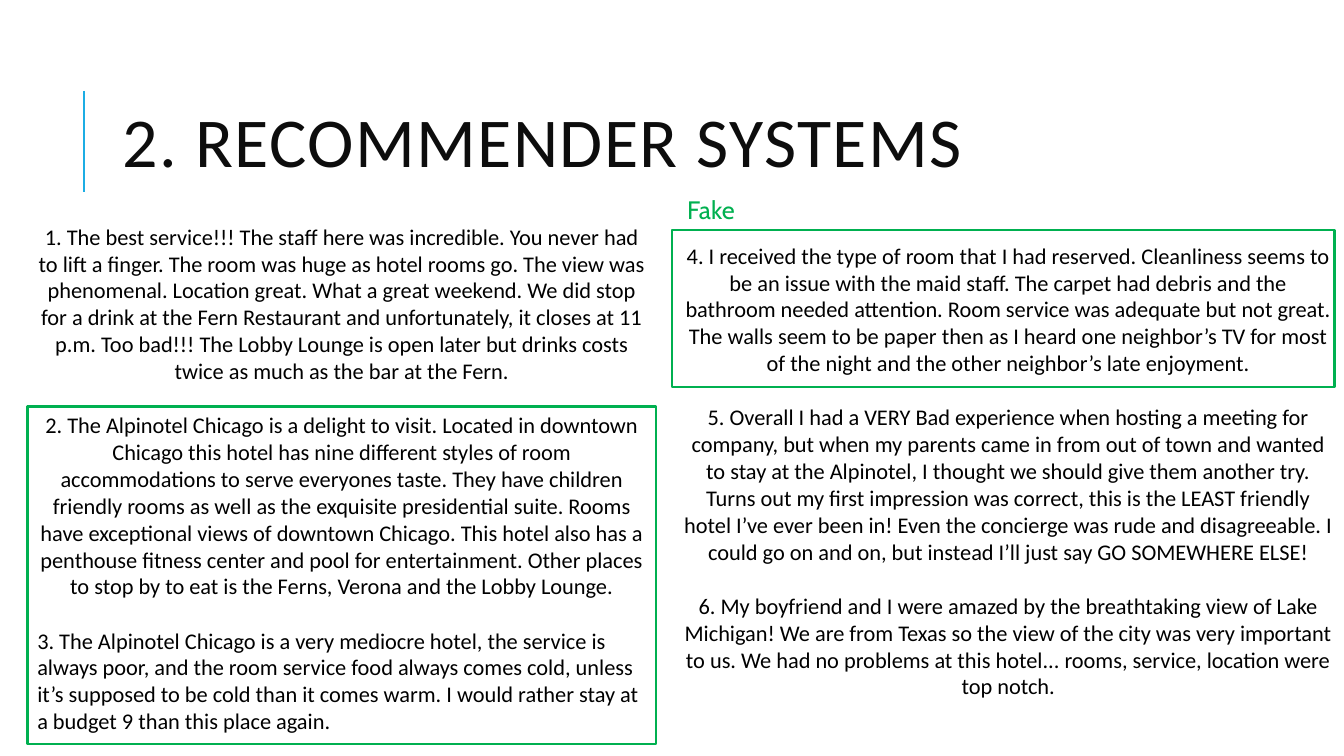
from lxml.etree import SubElement
from pptx import Presentation
from pptx.dml.color import RGBColor
from pptx.enum.shapes import MSO_CONNECTOR, MSO_SHAPE
from pptx.enum.text import MSO_ANCHOR, PP_ALIGN
from pptx.oxml.ns import qn
from pptx.util import Cm, Pt

GREEN = "00B050"
BLUE = "1CADE4"
BLACK = "000000"
TITLE_COLOR = "0D0D0D"
COLUMN_TOPS = (5.49, 5.97)
LEFT_X, LEFT_W = 0.69, 15.85
RIGHT_X, RIGHT_W = 16.94, 16.94

LEFT_REVIEWS = [
    "1. The best service!!! The staff here was incredible. You never had to lift a finger. "
    "The room was huge as hotel rooms go. The view was phenomenal. Location great. What a "
    "great weekend. We did stop for a drink at the Fern Restaurant and unfortunately, it "
    "closes at 11 p.m. Too bad!!! The Lobby Lounge is open later but drinks costs twice as "
    "much as the bar at the Fern.",
    "2. The Alpinotel Chicago is a delight to visit. Located in downtown Chicago this hotel "
    "has nine different styles of room accommodations to serve everyones taste. They have "
    "children friendly rooms as well as the exquisite presidential suite. Rooms have "
    "exceptional views of downtown Chicago. This hotel also has a penthouse fitness center "
    "and pool for entertainment. Other places to stop by to eat is the Ferns, Verona and the "
    "Lobby Lounge.",
    "3. The Alpinotel Chicago is a very mediocre hotel, the service is always poor, and the "
    "room service food always comes cold, unless it’s supposed to be cold than it comes warm. "
    "I would rather stay at a budget 9 than this place again.",
]
RIGHT_REVIEWS = [
    "4. I received the type of room that I had reserved. Cleanliness seems to be an issue "
    "with the maid staff. The carpet had debris and the bathroom needed attention. Room "
    "service was adequate but not great. The walls seem to be paper then as I heard one "
    "neighbor’s TV for most of the night and the other neighbor’s late enjoyment.",
    "5. Overall I had a VERY Bad experience when hosting a meeting for company, but when my "
    "parents came in from out of town and wanted to stay at the Alpinotel, I thought we should "
    "give them another try. Turns out my first impression was correct, this is the LEAST "
    "friendly hotel I’ve ever been in! Even the concierge was rude and disagreeable. I could "
    "go on and on, but instead I’ll just say GO SOMEWHERE ELSE!",
    "6. My boyfriend and I were amazed by the breathtaking view of Lake Michigan! We are from "
    "Texas so the view of the city was very important to us. We had no problems at this "
    "hotel... rooms, service, location were top notch.",
]


def rgb(color):
    return RGBColor.from_string(color)


def add_text(slide, x, y, w, h, paragraphs, size, color, font="Calibri", wrap=True):
    tf = slide.shapes.add_textbox(Cm(x), Cm(y), Cm(w), Cm(h)).text_frame
    tf.word_wrap = wrap
    tf.text = "\n".join(paragraphs)
    for p in tf.paragraphs:
        for r in p.runs:
            r.font.size = Pt(size)
            r.font.name = font
            r.font.color.rgb = rgb(color)
    return tf


def add_title(slide, text):
    tf = add_text(slide, 2.84, 1.63, 27, 4.17, [text], 50, TITLE_COLOR)
    tf.vertical_anchor = MSO_ANCHOR.MIDDLE
    p = tf.paragraphs[0]
    p.line_spacing = 0.8
    p.runs[0].font._element.set("spc", "100")


def add_reviews(slide, x, y, w, h, reviews):
    """Centred reviews, each one line of text apart."""
    tf = add_text(slide, x, y, w, h, reviews, 16, BLACK)
    for p in tf.paragraphs:
        p.alignment = PP_ALIGN.CENTER
    for p in tf.paragraphs[:-1]:
        p.space_after = Pt(19.5)
    return tf


def add_frame(slide, x, y, w, h):
    sp = slide.shapes.add_shape(MSO_SHAPE.RECTANGLE, Cm(x), Cm(y), Cm(w), Cm(h))
    sp.shadow.inherit = False
    sp.fill.background()
    sp.line.color.rgb = rgb(GREEN)
    sp.line.width = Pt(1.75)


def add_rule(slide, x, top, bottom):
    line = slide.shapes.add_connector(
        MSO_CONNECTOR.STRAIGHT, Cm(x), Cm(top), Cm(x), Cm(bottom))
    line.line.color.rgb = rgb(BLUE)
    line.line.width = Pt(1.5)
    SubElement(line._element.spPr, qn("a:effectLst"))


def main():
    prs = Presentation()
    prs.slide_width, prs.slide_height = Cm(33.87), Cm(19.05)
    slide = prs.slides.add_slide(prs.slide_layouts[6])

    add_rule(slide, 2.11, 2.29, 4.83)
    add_title(slide, "2. RECOMMENDER SYSTEMS")

    left = add_reviews(slide, LEFT_X, COLUMN_TOPS[0], LEFT_W, 13.26, LEFT_REVIEWS)
    left.paragraphs[-1].alignment = PP_ALIGN.LEFT
    add_reviews(slide, RIGHT_X, COLUMN_TOPS[1], RIGHT_W, 12.57, RIGHT_REVIEWS)

    add_frame(slide, LEFT_X, 10.24, LEFT_W, 8.51)
    add_frame(slide, RIGHT_X, 5.79, 16.69, 3.96)
    add_text(slide, 17.07, 4.78, 1.73, 1.02, ["Fake"], 18, GREEN, "Cabin", wrap=False)

    prs.save("out.pptx")


if __name__ == "__main__":
    main()
